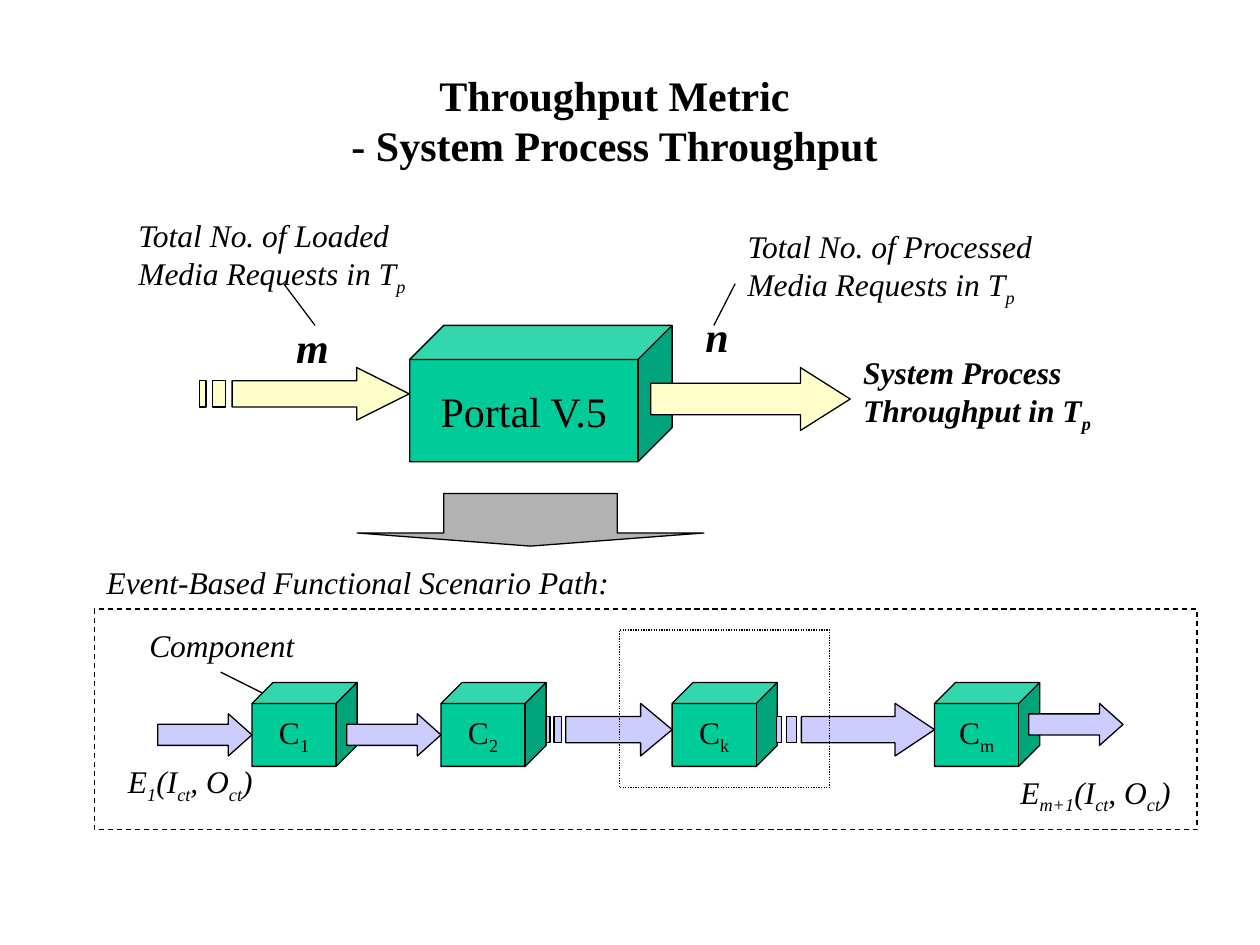
from lxml.etree import SubElement
from pptx import Presentation
from pptx.dml.color import RGBColor
from pptx.enum.dml import MSO_LINE_DASH_STYLE as DASH
from pptx.enum.shapes import MSO_CONNECTOR, MSO_SHAPE as SHAPE
from pptx.enum.text import MSO_ANCHOR, PP_ALIGN as ALIGN
from pptx.oxml.ns import qn
from pptx.util import Cm, Pt

BLACK = RGBColor(0x00, 0x00, 0x00)
GREEN = RGBColor(0x00, 0xCC, 0x99)
YELLOW = RGBColor(0xFF, 0xFF, 0xCC)
LAVENDER = RGBColor(0xCC, 0xCC, 0xFF)
GRAY = RGBColor(0xB2, 0xB2, 0xB2)

presentation = Presentation()
presentation.slide_width = Cm(25.4)
presentation.slide_height = Cm(19.05)
slide = presentation.slides.add_slide(presentation.slide_layouts[6])
shapes = slide.shapes


def write_text(frame, text, size, bold=False, italic=False, align=ALIGN.LEFT):
    for index, line in enumerate(text.split("\n")):
        paragraph = frame.add_paragraph() if index else frame.paragraphs[0]
        paragraph.alignment = align
        font = paragraph.font
        font.name, font.size = "Times New Roman", Pt(size)
        font.bold, font.italic = bold, italic
        font.color.rgb = BLACK
        for position, part in enumerate(line.split("_")):
            if part:
                run = paragraph.add_run()
                run.text = part
                if position % 2:
                    run.font._element.set("baseline", "-25000")


def style_shape(shape, color):
    shape.shadow.inherit = False
    if color is None:
        shape.fill.background()
    else:
        shape.fill.solid()
        shape.fill.fore_color.rgb = color
    shape.line.color.rgb = BLACK
    shape.line.width = Pt(0.75)


cubes = [
    ("Portal V.5", 24, 8.26, 6.56, 5.29, 2.75),
    ("C_1_", 18, 5.08, 13.76, 2.12, 1.69),
    ("C_2_", 18, 8.89, 13.76, 2.12, 1.69),
    ("C_k_", 18, 13.55, 13.76, 2.12, 1.69),
    ("C_m_", 18, 18.84, 13.76, 2.12, 1.69),
]
for text, size, left, top, width, height in cubes:
    cube = shapes.add_shape(SHAPE.CUBE, Cm(left), Cm(top), Cm(width), Cm(height))
    style_shape(cube, GREEN)
    cube.text_frame.word_wrap = False
    cube.text_frame.vertical_anchor = MSO_ANCHOR.MIDDLE
    write_text(cube.text_frame, text, size, align=ALIGN.CENTER)

arrows = [
    (SHAPE.RIGHT_ARROW, YELLOW, 0.79, 13.12, 7.41, 4.02, 1.27),
    (SHAPE.RIGHT_ARROW, LAVENDER, 0.56, 3.18, 14.39, 1.9, 0.85),
    (SHAPE.RIGHT_ARROW, LAVENDER, 0.56, 6.99, 14.39, 1.9, 0.85),
    (SHAPE.RIGHT_ARROW, LAVENDER, 0.56, 20.74, 14.18, 1.9, 0.85),
    (SHAPE.DOWN_ARROW, GRAY, 0.25, 7.2, 9.95, 6.99, 1.06),
]
for preset, color, head, left, top, width, height in arrows:
    arrow = shapes.add_shape(preset, Cm(left), Cm(top), Cm(width), Cm(height))
    arrow.adjustments[0] = 0.5
    arrow.adjustments[1] = head
    style_shape(arrow, color)

striped_outlines = [
    [(5 / 32, 0.25), (0.75, 0.25), (0.75, 0), (1, 0.5), (0.75, 1), (0.75, 0.75), (5 / 32, 0.75)],
    [(0, 0.25), (1 / 32, 0.25), (1 / 32, 0.75), (0, 0.75)],
    [(1 / 16, 0.25), (1 / 8, 0.25), (1 / 8, 0.75), (1 / 16, 0.75)],
]
striped_arrows = [
    (YELLOW, 4.02, 7.41, 4.23),
    (LAVENDER, 11.01, 14.18, 2.54),
    (LAVENDER, 15.66, 14.18, 3.18),
]
for color, left, top, width in striped_arrows:
    builder = None
    for outline in striped_outlines:
        points = [(Cm(left + x * width), Cm(top + y * 1.06)) for x, y in outline]
        if builder is None:
            builder = shapes.build_freeform(*points[0])
        else:
            builder.move_to(*points[0])
        builder.add_line_segments(points[1:], close=True)
    style_shape(builder.convert_to_shape(), color)

frames = [
    (DASH.DASH, 1.9, 12.28, 22.23, 4.45),
    (DASH.ROUND_DOT, 12.49, 12.7, 4.23, 3.18),
]
for dash, left, top, width, height in frames:
    frame = shapes.add_shape(SHAPE.RECTANGLE, Cm(left), Cm(top), Cm(width), Cm(height))
    style_shape(frame, None)
    frame.line.dash_style = dash

leaders = [
    (5.72, 5.72, 6.35, 6.56),
    (14.82, 5.72, 14.39, 6.56),
    (4.45, 13.55, 5.29, 13.97),
]
for points in leaders:
    leader = shapes.add_connector(MSO_CONNECTOR.STRAIGHT, *map(Cm, points))
    leader.line.color.rgb = BLACK
    leader.line.width = Pt(0.75)
    SubElement(leader._element.spPr, qn("a:effectLst"))

labels = [
    ("Throughput Metric\n- System Process Throughput", 24, True, False, ALIGN.CENTER, 3.18, 1.27, 18.42, 2.29),
    ("m", 24, True, True, ALIGN.LEFT, 5.72, 6.35, 1.17, 1.27),
    ("n", 24, True, True, ALIGN.LEFT, 13.97, 6.14, 1, 1.27),
    ("Total No. of Loaded Media Requests in T_p_", 18, False, True, ALIGN.LEFT, 2.54, 4.23, 5.93, 1.88),
    ("Total No. of Processed Media Requests in T_p_", 18, False, True, ALIGN.LEFT, 14.82, 4.45, 6.56, 1.88),
    ("System Process\nThroughput in T_p_", 18, True, True, ALIGN.LEFT, 17.15, 6.99, 5.5, 1.88),
    ("Event-Based Functional Scenario Path:", 18, False, True, ALIGN.LEFT, 1.9, 11.22, 10.8, 1.02),
    ("Component", 18, False, True, ALIGN.LEFT, 2.76, 12.49, 3.44, 1.02),
    ("E_1_(I_ct_, O_ct_)", 18, False, True, ALIGN.LEFT, 2.33, 15.24, 3.18, 1.12),
    ("E_m+1_(I_ct_, O_ct_)", 18, False, True, ALIGN.LEFT, 20.32, 15.45, 4.02, 1.12),
]
for text, size, bold, italic, align, left, top, width, height in labels:
    label = shapes.add_textbox(Cm(left), Cm(top), Cm(width), Cm(height))
    label.text_frame.word_wrap = text not in ("m", "Component")
    write_text(label.text_frame, text, size, bold, italic, align)

presentation.save("out.pptx")
